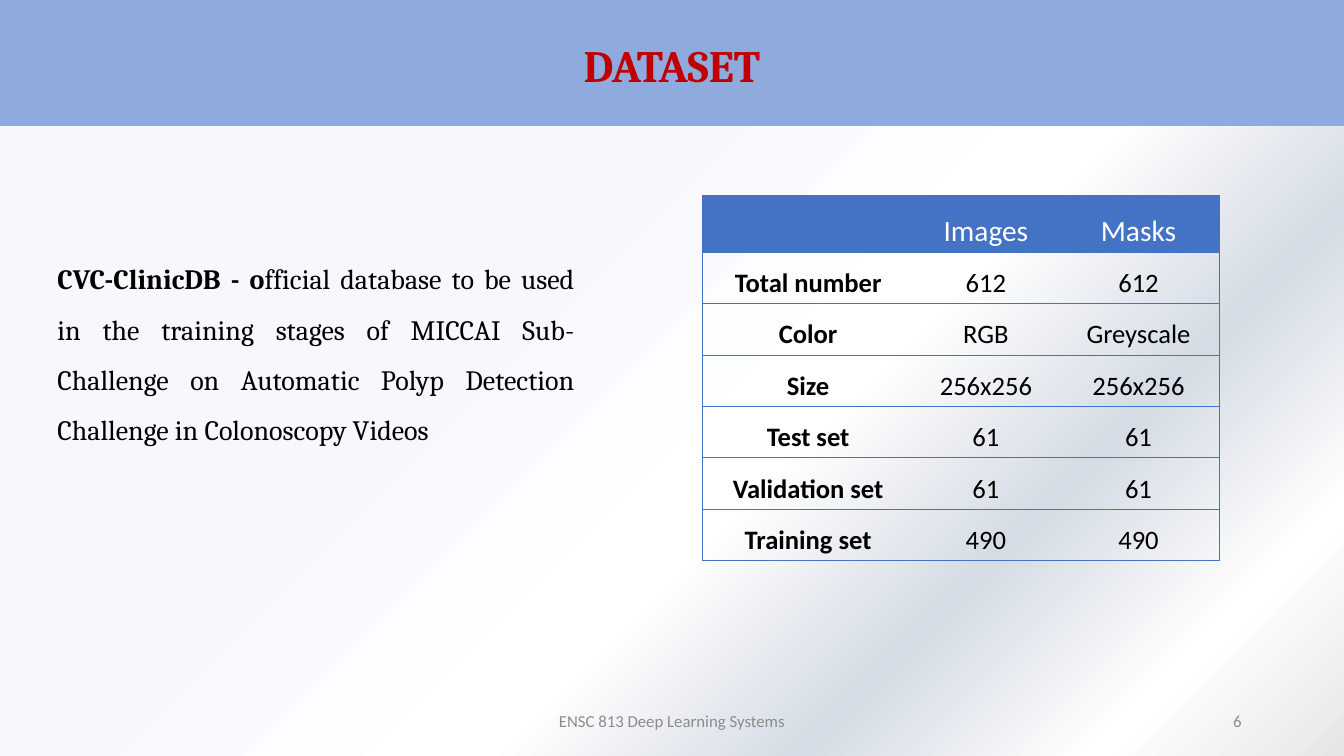
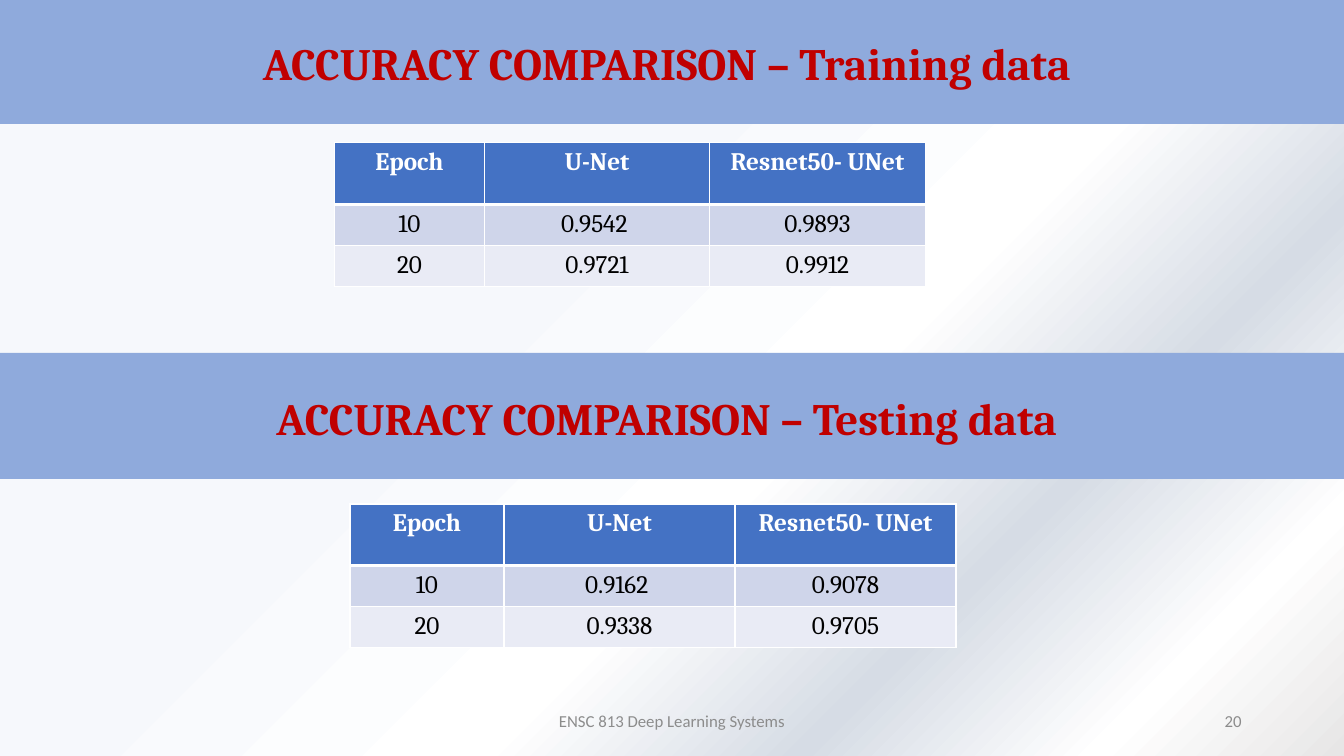
from lxml import etree
from pptx import Presentation
from pptx.dml.color import RGBColor
from pptx.enum.shapes import MSO_SHAPE
from pptx.enum.text import MSO_ANCHOR, PP_ALIGN
from pptx.oxml.ns import qn
from pptx.util import Pt

RECTANGLE = MSO_SHAPE.RECTANGLE
TOP, MIDDLE = MSO_ANCHOR.TOP, MSO_ANCHOR.MIDDLE
CENTER, RIGHT, JUSTIFY = PP_ALIGN.CENTER, PP_ALIGN.RIGHT, PP_ALIGN.JUSTIFY

WIDTH, HEIGHT = 960, 540
HEADING_FONT, BODY_FONT = "Cambria", "Calibri"
BLACK, WHITE, BLUE = "000000", "FFFFFF", "4472C4"
BAND_BLUE, TITLE_RED, FOOTER_GREY = "8FAADC", "C00000", "8C8C8C"
BACKGROUND_STOPS = [(36, "F6F8FC"), (59, WHITE), (74, "D6DCE5"), (88, WHITE), (100, "E7E6E6")]
NO_TABLE_STYLE = "{2D5ABB26-0587-4C30-8999-92F81FD0307C}"

OUTLINED = dict(font=BODY_FONT, header_size=21, body_size=19, header_bold=False,
                label_bold=True, stripes=[None, None], line=BLUE, thin=0.5, rule=0.5,
                verticals=False, margins=(10, 10.8, 10, 0), header_anchor=MIDDLE)
BANDED = dict(font=HEADING_FONT, header_size=18, body_size=18, header_bold=True,
              label_bold=False, stripes=["CFD5EA", "E9EBF5"], line=WHITE, thin=1, rule=3,
              verticals=True, margins=(7.2, 3.6, 7.2, 3.6), header_anchor=TOP)


def color(hex_code):
    return RGBColor.from_string(hex_code)


class Deck:
    """Holds the shared style and the slide being filled."""

    def __init__(self):
        self.presentation = Presentation()
        self.presentation.slide_width = Pt(WIDTH)
        self.presentation.slide_height = Pt(HEIGHT)
        self.slide = None

    def new_slide(self, number):
        self.slide = self.presentation.slides.add_slide(self.presentation.slide_layouts[6])
        fill = self.slide.background.fill
        fill.gradient()
        fill.gradient_angle = 315
        stops = next(self.slide.element.iter(qn("a:gsLst")))
        for stop in list(stops):
            stops.remove(stop)
        for percent, hex_code in BACKGROUND_STOPS:
            stop = etree.SubElement(stops, qn("a:gs"), pos=str(percent * 1000))
            etree.SubElement(stop, qn("a:srgbClr"), val=hex_code)
        self.footer(318, 324, "ENSC 813 Deep Learning Systems", CENTER)
        self.footer(678, 216, str(number), RIGHT)

    def style(self, paragraph, font, size, hex_code, bold=False, align=CENTER):
        paragraph.alignment = align
        for run in paragraph.runs:
            run.font.name = font
            run.font.size = Pt(size)
            run.font.bold = bold
            run.font.color.rgb = color(hex_code)

    def text_frame(self, left, top, width, height, text, anchor):
        box = self.slide.shapes.add_textbox(Pt(left), Pt(top), Pt(width), Pt(height))
        frame = box.text_frame
        frame.word_wrap = True
        frame.vertical_anchor = anchor
        frame.text = text
        return frame

    def footer(self, left, width, text, align):
        frame = self.text_frame(left, 500.5, width, 28.75, text, MIDDLE)
        self.style(frame.paragraphs[0], BODY_FONT, 12, FOOTER_GREY, align=align)

    def title_band(self, top, title):
        band = self.slide.shapes.add_shape(RECTANGLE, Pt(0), Pt(top), Pt(WIDTH), Pt(90))
        band.shadow.inherit = False
        band.fill.solid()
        band.fill.fore_color.rgb = color(BAND_BLUE)
        band.line.fill.background()
        frame = band.text_frame
        frame.vertical_anchor = MIDDLE
        frame.margin_top = Pt(6)
        frame.text = title
        self.style(frame.paragraphs[0], HEADING_FONT, 32, TITLE_RED, bold=True)

    def description(self, left, top, width, height, lead, rest):
        frame = self.text_frame(left, top, width, height, lead, TOP)
        frame.margin_left = Pt(11.5)
        frame.margin_top = Pt(42)
        paragraph = frame.paragraphs[0]
        paragraph.line_spacing = 1.5
        paragraph.add_run().text = rest
        self.style(paragraph, HEADING_FONT, 20, BLACK, align=JUSTIFY)
        paragraph.runs[0].font.bold = True

    def borders(self, cell, widths, hex_code):
        properties = cell._tc.get_or_add_tcPr()
        for position, (side, width) in enumerate(widths.items()):
            line = etree.Element(qn(f"a:ln{side}"), w=str(Pt(width)))
            fill = etree.SubElement(line, qn("a:solidFill"))
            etree.SubElement(fill, qn("a:srgbClr"), val=hex_code)
            properties.insert(position, line)

    def table(self, left, top, widths, heights, rows, look):
        frame = self.slide.shapes.add_table(len(rows), len(widths), Pt(left), Pt(top),
                                            Pt(sum(widths)), Pt(sum(heights)))
        next(frame.element.iter(qn("a:tableStyleId"))).text = NO_TABLE_STYLE
        table = frame.table
        for column, width in zip(table.columns, widths):
            column.width = Pt(width)
        for row, height in zip(table.rows, heights):
            row.height = Pt(height)
        for row, values in enumerate(rows):
            for column, value in enumerate(values):
                self.cell(table.cell(row, column), row, column, len(widths) - 1, value, look)

    def cell(self, cell, row, column, last_column, value, look):
        header = row == 0
        fill = BLUE if header else look["stripes"][(row - 1) % 2]
        if fill:
            cell.fill.solid()
            cell.fill.fore_color.rgb = color(fill)
        else:
            cell.fill.background()
        margins = [Pt(margin) for margin in look["margins"]]
        cell.margin_left, cell.margin_top, cell.margin_right, cell.margin_bottom = margins
        cell.vertical_anchor = look["header_anchor"] if header else TOP
        cell.text = value
        bold = look["header_bold"] if header else look["label_bold"] and column == 0
        size = look["header_size"] if header else look["body_size"]
        self.style(cell.text_frame.paragraphs[0], look["font"], size,
                   WHITE if header else BLACK, bold)
        thin, rule = look["thin"], look["rule"]
        sides = {}
        if look["verticals"] or column == 0:
            sides["L"] = thin
        if look["verticals"] or column == last_column:
            sides["R"] = thin
        sides["T"] = rule if row == 1 else thin
        sides["B"] = rule if header else thin
        self.borders(cell, sides, look["line"])


def main():
    deck = Deck()

    deck.new_slide(6)
    deck.title_band(0, "DATASET")
    deck.description(29.5, 133, 388, 346, "CVC-ClinicDB - o",
                     "fficial database to be used in the training stages of MICCAI "
                     "Sub-Challenge on Automatic Polyp Detection Challenge in Colonoscopy Videos")
    dataset = [
        ("", "Images", "Masks"),
        ("Total number", "612", "612"),
        ("Color", "RGB", "Greyscale"),
        ("Size", "256x256", "256x256"),
        ("Test set", "61", "61"),
        ("Validation set", "61", "61"),
        ("Training set", "490", "490"),
    ]
    deck.table(501.75, 139.5, [151, 103, 115], [40.5] + [36.75] * 6, dataset, OUTLINED)

    deck.new_slide(20)
    comparisons = [
        (-1.5, "Training", 239, 102, [107, 161, 154], ("0.9542 ", "0.9893"), ("0.9721", "0.9912")),
        (252, "Testing", 250, 360, [110, 165, 158], ("0.9162 ", "0.9078"), ("0.9338", "0.9705")),
    ]
    for band_top, data_name, left, top, widths, epoch_10, epoch_20 in comparisons:
        deck.title_band(band_top, f"ACCURACY COMPARISON – {data_name} data ")
        accuracy = [("Epoch", "U-Net", "Resnet50- UNet"), ("10", *epoch_10), ("20", *epoch_20)]
        deck.table(left, top, widths, [44, 29.25, 29.25], accuracy, BANDED)

    deck.presentation.save("out.pptx")


if __name__ == "__main__":
    main()
